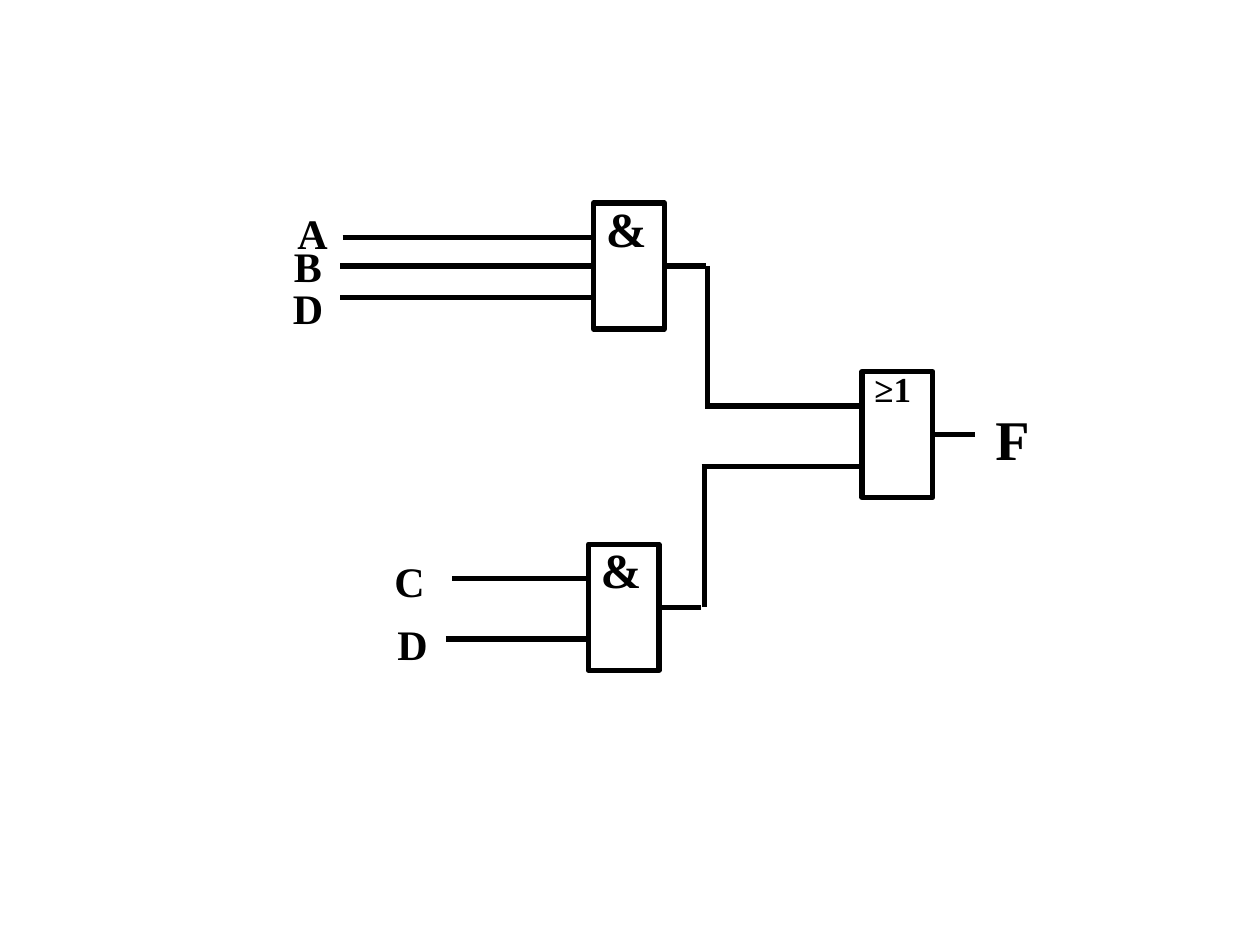
from dataclasses import dataclass

from lxml.etree import SubElement
from pptx import Presentation
from pptx.dml.color import RGBColor
from pptx.enum.shapes import MSO_CONNECTOR as Link, MSO_SHAPE as Form
from pptx.enum.text import MSO_ANCHOR as Anchor, PP_ALIGN as Align
from pptx.oxml.ns import qn
from pptx.util import Pt


@dataclass(frozen=True)
class Theme:
    ink: RGBColor = RGBColor(0, 0, 0)
    font: str = "Times New Roman"
    stroke: float = 3
    input_size: float = 24
    output_size: float = 32
    and_size: float = 28
    or_size: float = 20


GATE_WIDTH, GATE_HEIGHT = 40.4, 72
PIN_LENGTH = 24
PIN_OFFSETS = (19.6, 54.2)
LEFT_SIDE, RIGHT_SIDE = 1, 3


class Circuit:
    def __init__(self, page, theme):
        self.shapes = page.shapes
        self.theme = theme

    def wire(self, start, end, start_gate=None, end_gate=None):
        line = self.shapes.add_connector(
            Link.STRAIGHT, *(Pt(value) for value in (*start, *end)))
        line.line.color.rgb = self.theme.ink
        line.line.width = Pt(self.theme.stroke)
        SubElement(line._element.spPr, qn("a:effectLst"))
        if start_gate is not None:
            line.begin_connect(start_gate, RIGHT_SIDE)
        if end_gate is not None:
            line.end_connect(end_gate, LEFT_SIDE)

    def text(self, words, left, top, width, height, size,
             align=Align.LEFT, anchor=Anchor.TOP):
        box = self.shapes.add_textbox(Pt(left), Pt(top), Pt(width), Pt(height))
        box.text_frame.word_wrap = True
        box.text_frame.vertical_anchor = anchor
        para = box.text_frame.paragraphs[0]
        para.alignment = align
        span = para.add_run()
        span.text = words
        formats = {"name": self.theme.font, "size": Pt(size), "bold": True}
        for name, value in formats.items():
            setattr(span.font, name, value)
        span.font.color.rgb = self.theme.ink

    def signal(self, name, center_x, center_y, size):
        width, height = 36, size * 1.5
        self.text(name, center_x - width / 2, center_y - height / 2,
                  width, height, size, Align.CENTER, Anchor.MIDDLE)

    def gate(self, symbol, left, top, size):
        box = self.shapes.add_shape(
            Form.RECTANGLE, Pt(left), Pt(top), Pt(GATE_WIDTH), Pt(GATE_HEIGHT))
        box.shadow.inherit = False
        box.fill.background()
        box.line.color.rgb = self.theme.ink
        box.line.width = Pt(self.theme.stroke)
        self.text(symbol, left, top - 6, 48, size * 1.2 + 7.2, size)

        # Two input pins and the output pin
        for offset in PIN_OFFSETS:
            pin_y = top + offset
            self.wire((left - PIN_LENGTH, pin_y), (left, pin_y))
        right, middle = left + GATE_WIDTH, top + GATE_HEIGHT / 2
        self.wire((right, middle), (right + PIN_LENGTH, middle), start_gate=box)
        return box


def main():
    theme = Theme()
    deck = Presentation()
    deck.slide_width, deck.slide_height = Pt(720), Pt(540)
    page = deck.slides.add_slide(deck.slide_layouts[6])
    circuit = Circuit(page, theme)

    # Gates
    upper_and = circuit.gate("&", 339.2, 116, theme.and_size)
    circuit.gate("&", 336.2, 311, theme.and_size)
    circuit.gate("≥1", 492.6, 212.4, theme.or_size)

    # Input wires, the middle one running straight to its gate
    for start_x, end_x, y in (
        (195.8, 316, 135.6),
        (194.4, 316, 170.2),
        (258.4, 314, 330.6),
        (254.8, 314, 365.2),
    ):
        circuit.wire((start_x, y), (end_x, y))
    circuit.wire((194.4, 152), (339.2, 152), end_gate=upper_and)

    # Wires from the AND gates to the OR gate
    for bend_x, output_y, input_y in ((404.4, 152, 232), (402.4, 347, 266.6)):
        overlap = theme.stroke / 2
        circuit.wire((bend_x, output_y), (bend_x, input_y))
        circuit.wire((bend_x - overlap, input_y), (470, input_y))

    # Signal names
    for name, x, y in (
        ("A", 178.6, 133.2),
        ("B", 176, 152),
        ("D", 176, 175.8),
        ("C", 234, 332),
        ("D", 235.8, 368),
    ):
        circuit.signal(name, x, y, theme.input_size)
    circuit.signal("F", 578.6, 250.6, theme.output_size)

    deck.save("out.pptx")


if __name__ == "__main__":
    main()
